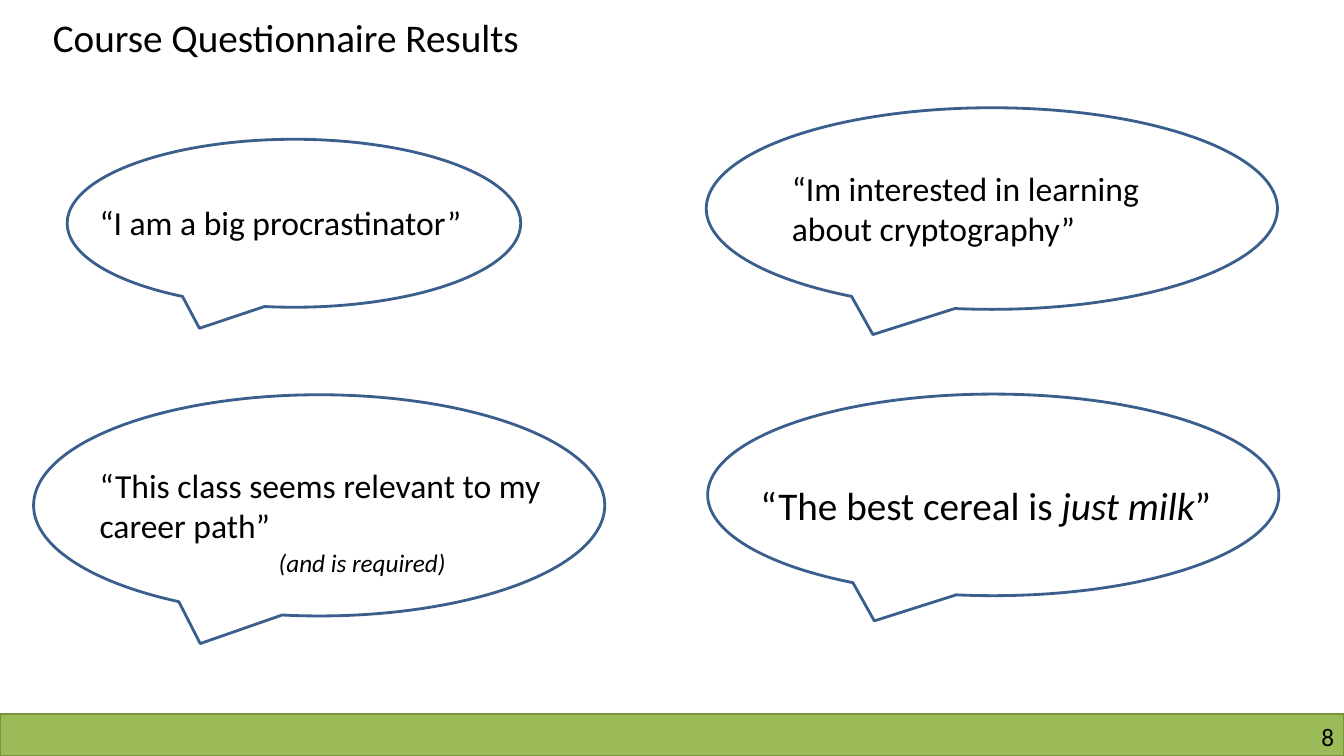
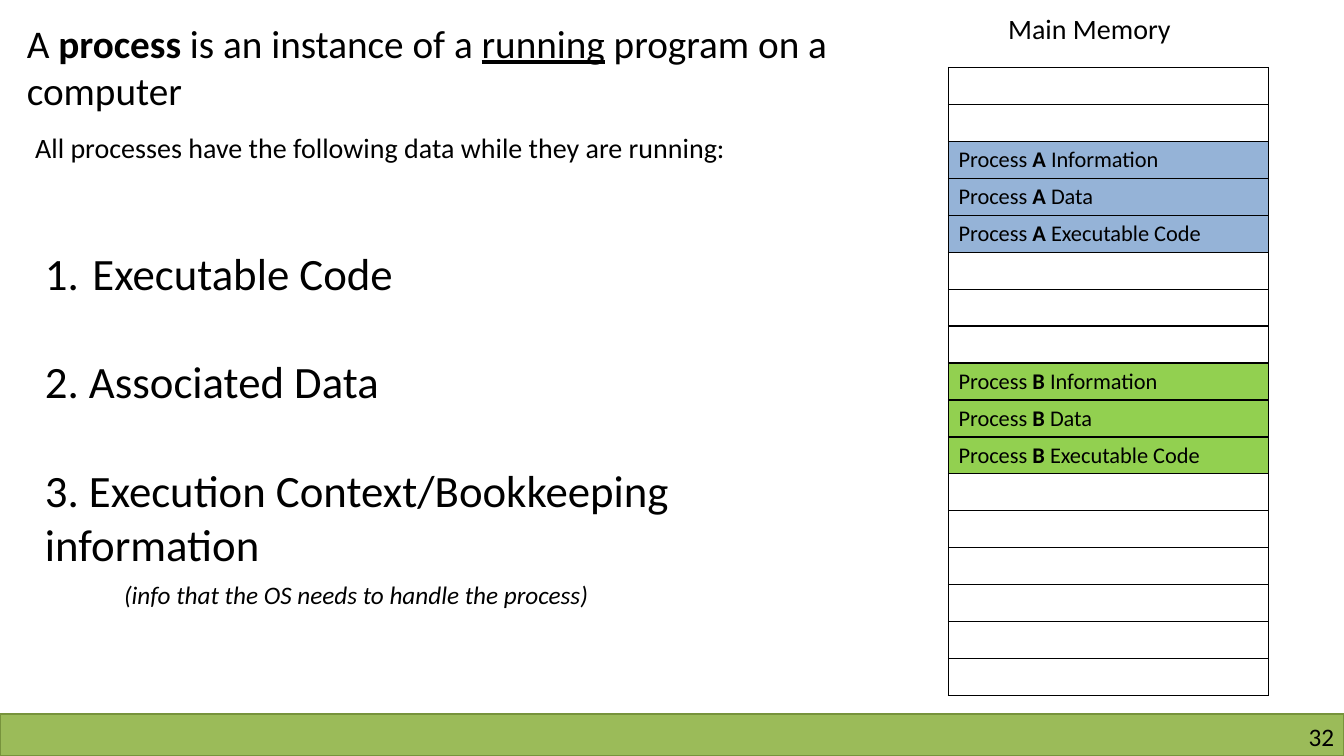
"""Build two course slides: questionnaire quotes and processes in memory."""
from dataclasses import dataclass, field
from typing import NamedTuple

from lxml import etree
from pptx import Presentation
from pptx import util as u
from pptx.dml.color import RGBColor
from pptx.enum import shapes, text
from pptx.oxml.ns import qn
from pptx.slide import Slide


@dataclass(frozen=True)
class Theme:
    """Colours, font and type sizes of the deck."""
    font: str = "Calibri"
    ink: str = "000000"
    paper: str = "FFFFFF"
    band: str = "9BBB59"
    band_line: str = "77933C"
    callout_line: str = "3A5F8C"
    process_a: str = "95B3D7"
    process_b: str = "92D050"
    title: int = 28
    list_item: int = 32
    quote: int = 24
    label: int = 20
    note: int = 18
    cell: int = 16


class Box(NamedTuple):
    """A rectangle in points."""
    left: float
    top: float
    width: float
    height: float


class Run(NamedTuple):
    """A stretch of text with its format values."""
    words: str
    formats: dict = {}


@dataclass(frozen=True)
class Label:
    """A text box holding one paragraph."""
    box: Box
    runs: list[Run]
    size: int
    formats: dict = field(default_factory=dict)


class MemoryBlock(NamedTuple):
    """The rows of one process in main memory."""
    name: str
    first_row: int
    colour: str


THEME = Theme()
WIDTH, HEIGHT, BAND_HEIGHT = 960, 540, 30
BOLD, ITALIC, UNDERLINE = {"bold": True}, {"italic": True}, {"underline": True}
FRAME = {"word_wrap": True, "auto_size": text.MSO_AUTO_SIZE.NONE,
         "vertical_anchor": text.MSO_ANCHOR.TOP}
NO_INSETS = {f"margin_{side}": 0 for side in ("left", "top", "right", "bottom")}

CALLOUTS = [
    Box(48, 99.5, 324, 120), Box(24, 282, 408, 158),
    Box(504.5, 77, 408, 144), Box(505.5, 281.5, 408, 144),
]
QUOTES = [
    Label(Box(64, 140.5, 300, 36), [Run("“I am a big procrastinator”")], THEME.quote),
    Label(Box(64, 328.5, 362, 65),
          [Run("“This class seems relevant to my career path”")], THEME.quote),
    Label(Box(558.5, 116.5, 300, 65),
          [Run("“Im interested in learning about cryptography”")], THEME.quote),
    Label(Box(536, 340.5, 377, 41),
          [Run("“The best cereal is "), Run("just milk", ITALIC), Run("”")], THEME.title),
    Label(Box(192, 387.5, 146, 29), [Run("(and is required)")], THEME.note, ITALIC),
]
PROCESS_LABELS = [
    Label(Box(18, 90, 555, 32),
          [Run("All processes have the following data while they are running:")], THEME.label),
    Label(Box(713, 5, 140, 32), [Run("Main Memory")], THEME.label),
    Label(Box(81.5, 410.5, 386, 29),
          [Run("(info that the OS needs to handle the process)")], THEME.note, ITALIC),
]
DATA_BOX = Box(25, 172, 546, 240)
DATA_ITEMS = ["Executable Code", "2. Associated Data",
              "3. Execution Context/Bookkeeping information"]
ITEM_GAP, NUMBER_INDENT = 39, 34
MEMORY_BOX = Box(677.5, 48.2, 228.5, 448.8)
MEMORY_ROWS = 17
MEMORY_PARTS = ["Information", "Data", "Executable Code"]
MEMORY_BLOCKS = [MemoryBlock("A", 2, THEME.process_a), MemoryBlock("B", 8, THEME.process_b)]


def points(box: Box) -> list[u.Length]:
    """Convert a box to lengths."""
    return [u.Pt(value) for value in box]


def apply(target, formats: dict) -> None:
    """Set each format value on the target."""
    for name, value in formats.items():
        setattr(target, name, value)


def write(paragraph, runs: list[Run], size: int, formats: dict | None = None) -> None:
    """Add formatted runs to a paragraph."""
    base = {"name": THEME.font, "size": u.Pt(size), **(formats or {})}
    for item in runs:
        run = paragraph.add_run()
        run.text = item.words
        apply(run.font, base | item.formats)
        run.font.color.rgb = RGBColor.from_string(THEME.ink)


def add_label(slide: Slide, label: Label):
    """Add a text box and return its frame."""
    frame = slide.shapes.add_textbox(*points(label.box)).text_frame
    apply(frame, FRAME)
    write(frame.paragraphs[0], label.runs, label.size, label.formats)
    return frame


def add_outline(slide: Slide, kind: shapes.MSO_SHAPE, box: Box,
                fill: str, line: str, weight: float) -> None:
    """Add a filled and outlined preset shape."""
    shape = slide.shapes.add_shape(kind, *points(box))
    shape.shadow.inherit = False
    shape.fill.solid()
    shape.fill.fore_color.rgb = RGBColor.from_string(fill)
    shape.line.color.rgb = RGBColor.from_string(line)
    shape.line.width = u.Pt(weight)


def add_slide(presentation, title: list[Run], box: Box, number: int) -> Slide:
    """Add a slide with its title, footer band and number."""
    slide = presentation.slides.add_slide(presentation.slide_layouts[5])
    add_outline(slide, shapes.MSO_SHAPE.RECTANGLE,
                Box(0, HEIGHT - BAND_HEIGHT, WIDTH, BAND_HEIGHT),
                THEME.band, THEME.band_line, 1)
    footer = add_label(slide, Label(Box(732, 515, 221, 22), [Run(str(number))], THEME.note))
    apply(footer, NO_INSETS)
    footer.paragraphs[0].alignment = text.PP_ALIGN.RIGHT
    heading = slide.shapes.title
    apply(heading, dict(zip(("left", "top", "width", "height"), points(box))))
    apply(heading.text_frame, FRAME)
    paragraph = heading.text_frame.paragraphs[0]
    paragraph.alignment = text.PP_ALIGN.LEFT
    write(paragraph, title, THEME.title)
    return slide


def number_paragraph(paragraph) -> None:
    """Give a paragraph an automatic number and a hanging indent."""
    properties = paragraph._p.get_or_add_pPr()
    indent = u.Pt(NUMBER_INDENT)
    properties.set("marL", str(indent))
    properties.set("indent", str(-indent))
    etree.SubElement(properties, qn("a:buFont"), typeface="+mj-lt")
    etree.SubElement(properties, qn("a:buAutoNum"), type="arabicPeriod")


def add_data_list(slide: Slide) -> None:
    """Add the list of data that every process has."""
    frame = slide.shapes.add_textbox(*points(DATA_BOX)).text_frame
    apply(frame, FRAME)
    for index, words in enumerate(DATA_ITEMS):
        paragraph = frame.add_paragraph() if index else frame.paragraphs[0]
        if index:
            paragraph.space_before = u.Pt(ITEM_GAP)
        else:
            number_paragraph(paragraph)
        write(paragraph, [Run(words)], THEME.list_item)


def format_cell(cell, fill: str) -> None:
    """Give a cell its borders, fill and margins."""
    properties = cell._tc.get_or_add_tcPr()
    for side in ("L", "R", "T", "B"):
        line = etree.SubElement(properties, qn(f"a:ln{side}"), w=str(u.Pt(1)))
        solid = etree.SubElement(line, qn("a:solidFill"))
        etree.SubElement(solid, qn("a:srgbClr"), val=THEME.ink)
    cell.fill.solid()
    cell.fill.fore_color.rgb = RGBColor.from_string(fill)
    apply(cell, {"margin_top": u.Pt(2), "margin_bottom": u.Pt(2),
                 "vertical_anchor": text.MSO_ANCHOR.MIDDLE})


def add_memory(slide: Slide) -> None:
    """Add the main memory table with its process blocks."""
    table = slide.shapes.add_table(MEMORY_ROWS, 1, *points(MEMORY_BOX)).table
    apply(table, {"first_row": False, "horz_banding": False})
    contents = {block.first_row + offset: (block, part)
                for block in MEMORY_BLOCKS for offset, part in enumerate(MEMORY_PARTS)}
    for index, row in enumerate(table.rows):
        row.height = u.Pt(MEMORY_BOX.height / MEMORY_ROWS)
        cell = row.cells[0]
        if index in contents:
            block, part = contents[index]
            format_cell(cell, block.colour)
            write(cell.text_frame.paragraphs[0],
                  [Run("Process "), Run(block.name, BOLD), Run(f" {part}")], THEME.cell)
        else:
            format_cell(cell, THEME.paper)


def build_questionnaire(presentation) -> None:
    """Build the slide of questionnaire quotes."""
    slide = add_slide(presentation, [Run("Course Questionnaire Results")],
                      Box(30.5, 6, 380, 41), 8)
    for box in CALLOUTS:
        add_outline(slide, shapes.MSO_SHAPE.OVAL_CALLOUT, box,
                    THEME.paper, THEME.callout_line, 2)
    for quote in QUOTES:
        add_label(slide, quote)


def build_process(presentation) -> None:
    """Build the slide on processes in main memory."""
    title = [Run("A "), Run("process", BOLD), Run(" is an instance of a "),
             Run("running", UNDERLINE), Run(" program on a computer")]
    slide = add_slide(presentation, title, Box(12, 10, 630, 75), 32)
    add_data_list(slide)
    add_memory(slide)
    for label in PROCESS_LABELS:
        add_label(slide, label)


def main() -> None:
    """Build and save the deck."""
    presentation = Presentation()
    apply(presentation, {"slide_width": u.Pt(WIDTH), "slide_height": u.Pt(HEIGHT)})
    build_questionnaire(presentation)
    build_process(presentation)
    presentation.save("out.pptx")


if __name__ == "__main__":
    main()
